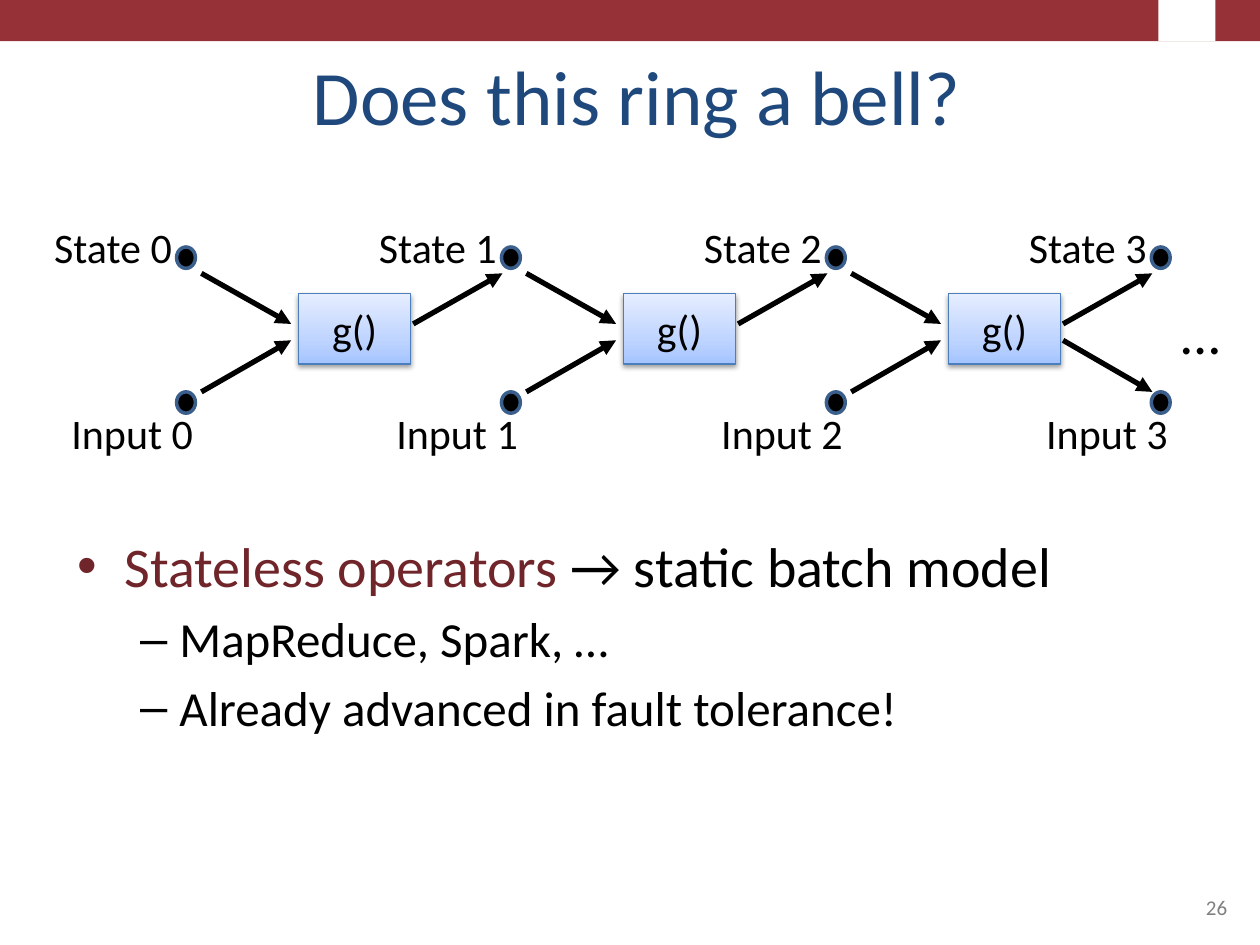
from copy import deepcopy
from dataclasses import dataclass

import lxml.etree as etree
import pptx
import pptx.dml.color
import pptx.enum.shapes
import pptx.enum.text
import pptx.oxml.ns
import pptx.util

Cm = pptx.util.Cm
Pt = pptx.util.Pt
RGB = pptx.dml.color.RGBColor
MSO_SHAPE = pptx.enum.shapes.MSO_SHAPE
ALIGN = pptx.enum.text.PP_ALIGN
ANCHOR = pptx.enum.text.MSO_ANCHOR
AUTO_SIZE = pptx.enum.text.MSO_AUTO_SIZE
qn = pptx.oxml.ns.qn

FONT = "Calibri"
BLACK = RGB(0x00, 0x00, 0x00)
WHITE = RGB(0xFF, 0xFF, 0xFF)
GREY = RGB(0x80, 0x80, 0x80)
BAND = RGB(0x96, 0x32, 0x37)
NAVY = RGB(0x1F, 0x49, 0x7D)
MAROON = RGB(0x6F, 0x25, 0x29)
DOT_EDGE = RGB(0x3A, 0x5F, 0x8C)
BOX_EDGE = RGB(0x4B, 0x7E, 0xBC)
BOX_STOPS = [
    (0, RGB(0xA4, 0xC4, 0xFF)),
    (0.35, RGB(0xBF, 0xD4, 0xFF)),
    (1, RGB(0xE6, 0xEE, 0xFF)),
]

STEPS = 4
PITCH = 6.55  # distance between two steps, cm


@dataclass
class Row:
    """A row of labelled dots; all lengths in cm."""
    name: str
    label_x: float
    label_y: float
    label_w: float
    dot_y: float
    dot_side: float  # arrow end next to the dot
    box_side: float  # arrow end next to the box


STATE = Row("State", 0.84, 4.34, 2.92, 4.98, 5.51, 6.53)
INPUT = Row("Input", 1.19, 8.10, 2.97, 7.90, 7.90, 6.86)


def style(runs, size: float, color: RGB) -> None:
    for r in runs:
        r.font.name = FONT
        r.font.size = Pt(size)
        r.font.color.rgb = color


def place(s, x: float, y: float, w: float, h: float) -> None:
    s.left, s.top, s.width, s.height = Cm(x), Cm(y), Cm(w), Cm(h)


def add_text(slide, text: str, x: float, y: float, w: float, h: float,
             size: float = 24, color: RGB = BLACK):
    tf = slide.shapes.add_textbox(Cm(x), Cm(y), Cm(w), Cm(h)).text_frame
    tf.text = text
    tf.word_wrap = False
    style(tf.paragraphs[0].runs, size, color)
    return tf


def add_plain(slide, kind, x: float, y: float, w: float, h: float, fill: RGB):
    s = slide.shapes.add_shape(kind, Cm(x), Cm(y), Cm(w), Cm(h))
    s.shadow.inherit = False
    s.fill.solid()
    s.fill.fore_color.rgb = fill
    s.line.fill.background()
    return s


def add_dot(slide, x: float, y: float) -> None:
    s = add_plain(slide, MSO_SHAPE.OVAL, x, y, 0.38, 0.43, BLACK)
    s.line.color.rgb = DOT_EDGE
    s.line.width = Pt(2)


def add_arrow(slide, x1: float, y1: float, x2: float, y2: float) -> None:
    s = slide.shapes.add_connector(pptx.enum.shapes.MSO_CONNECTOR.STRAIGHT,
                                   Cm(x1), Cm(y1), Cm(x2), Cm(y2))
    s.line.color.rgb = BLACK
    s.line.width = Pt(3)
    sp_pr = s._element.spPr
    etree.SubElement(sp_pr.find(qn("a:ln")), qn("a:tailEnd"), type="triangle")
    etree.SubElement(sp_pr, qn("a:effectLst"))


def add_function_box(slide, x: float) -> None:
    s = add_plain(slide, MSO_SHAPE.RECTANGLE, x, 5.92, 2.26, 1.42, WHITE)
    s.line.color.rgb = BOX_EDGE
    s.line.width = Pt(0.75)
    sp_pr = s._element.spPr
    # Gradient with three stops, running upwards
    s.fill.gradient()
    s.fill.gradient_angle = 90
    stops = sp_pr.find(qn("a:gradFill")).find(qn("a:gsLst"))
    stops.append(deepcopy(stops[-1]))
    for stop, (position, color) in zip(s.fill.gradient_stops, BOX_STOPS):
        stop.position = position
        stop.color.rgb = color
    # Soft shadow below
    shadow = etree.SubElement(
        sp_pr.find(qn("a:effectLst")), qn("a:outerShdw"),
        blurRad=str(Pt(3.1)), dist=str(Pt(1.6)), dir="5400000", rotWithShape="0")
    tint = etree.SubElement(shadow, qn("a:srgbClr"), val=str(BLACK))
    etree.SubElement(tint, qn("a:alpha"), val="38000")
    # Label
    tf = s.text_frame
    tf.text = "g()"
    tf.vertical_anchor = ANCHOR.MIDDLE
    p = tf.paragraphs[0]
    p.alignment = ALIGN.CENTER
    style(p.runs, 24, BLACK)


def add_diagram(slide) -> None:
    for i in range(STEPS):
        x = i * PITCH
        last = i == STEPS - 1
        for row in (STATE, INPUT):
            add_text(slide, f"{row.name} {i}", x + row.label_x, row.label_y,
                     row.label_w, 1.27)
            add_dot(slide, x + 3.56, row.dot_y)
            if not last:
                add_arrow(slide, x + 4.06, row.dot_side, x + 5.87, row.box_side)
        if not last:
            add_function_box(slide, x + 6.02)
            targets = (STATE, INPUT) if i == STEPS - 2 else (STATE,)
            for row in targets:
                add_arrow(slide, x + 8.33, row.box_side, x + 10.13, row.dot_side)
    add_text(slide, "…", 23.57, 5.89, 1.3, 1.63, size=32)


def add_title(slide) -> None:
    s = slide.shapes.title
    place(s, 0.71, 0.76, 24.26, 2.21)
    tf = s.text_frame
    tf.text = "Does this ring a bell?"
    tf.auto_size = AUTO_SIZE.NONE
    tf.vertical_anchor = ANCHOR.BOTTOM
    style(tf.paragraphs[0].runs, 44, NAVY)


def add_body(slide) -> None:
    s = slide.placeholders[1]
    place(s, 1.3, 10.59, 22.86, 4.55)
    tf = s.text_frame
    tf.auto_size = AUTO_SIZE.NONE
    p = tf.paragraphs[0]
    p.space_before = Pt(0)
    for text, color in (("Stateless operators ", MAROON),
                        ("→ static batch model", BLACK)):
        r = p.add_run()
        r.text = text
        style([r], 32, color)
    for text in ("MapReduce, Spark, …", "Already advanced in fault tolerance!"):
        p = tf.add_paragraph()
        p.text = text
        p.level = 1
        style(p.runs, 28, BLACK)


def main() -> None:
    prs = pptx.Presentation()
    prs.slide_width, prs.slide_height = Cm(25.4), Cm(19.05)
    slide = prs.slides.add_slide(prs.slide_layouts[1])

    # Top band with a plain emblem field
    add_plain(slide, MSO_SHAPE.RECTANGLE, 0, 0, 25.4, 0.83, BAND)
    add_plain(slide, MSO_SHAPE.RECTANGLE, 23.35, 0, 1.15, 0.83, WHITE)

    add_title(slide)
    add_diagram(slide)
    add_body(slide)

    # Slide number
    tf = add_text(slide, "26", 18.21, 17.35, 6.78, 1.32, 12, GREY)
    tf.word_wrap = True
    tf.vertical_anchor = ANCHOR.BOTTOM
    tf.paragraphs[0].alignment = ALIGN.RIGHT

    prs.save("out.pptx")


if __name__ == "__main__":
    main()
